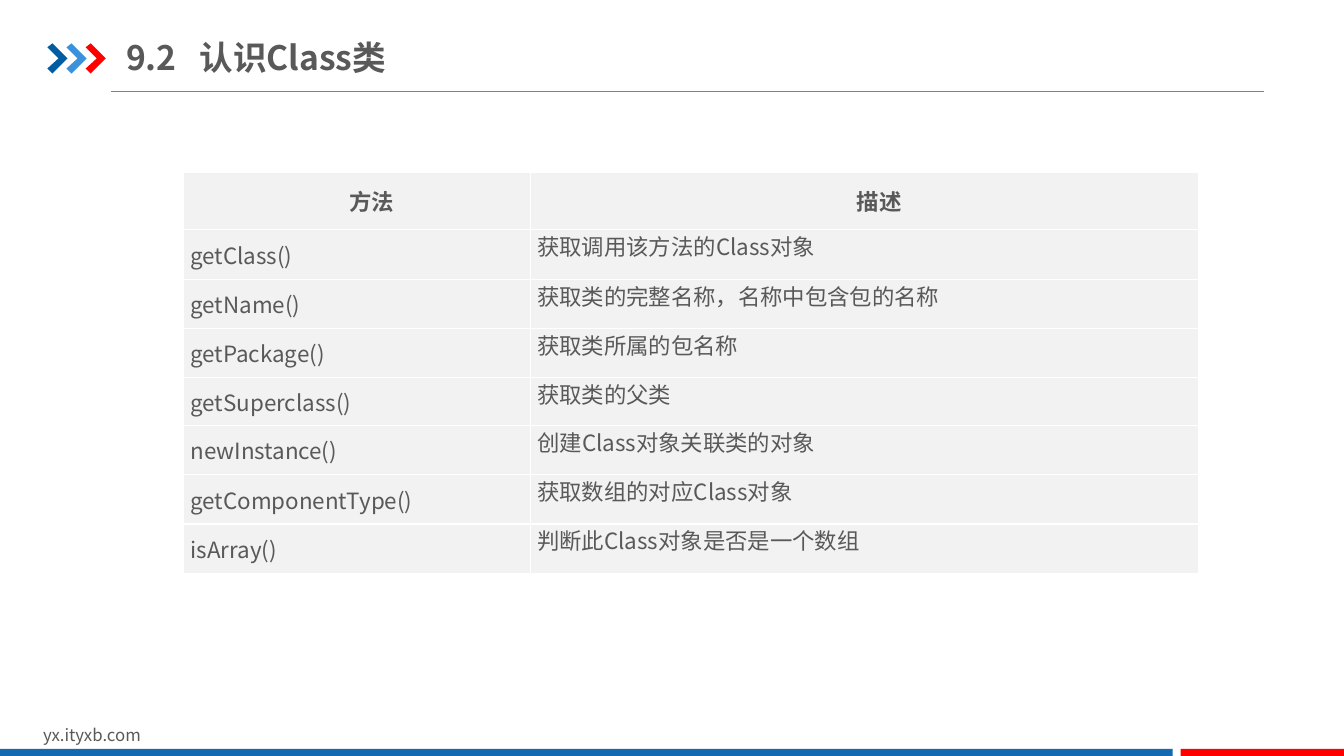
from lxml import etree
from pptx import Presentation
from pptx import util as u
from pptx.dml.color import RGBColor
from pptx.enum import shapes, text
from pptx.oxml import ns

FONT = "Noto Sans CJK SC"
GREY, RED, WHITE = "595959", "FF0000", "FFFFFF"
METHODS = [
    ("getClass()", "获取调用该方法的Class对象"),
    ("getName()", "获取类的完整名称，名称中包含包的名称"),
    ("getPackage()", "获取类所属的包名称"),
    ("getSuperclass()", "获取类的父类"),
    ("newInstance()", "创建Class对象关联类的对象"),
    ("getComponentType()", "获取数组的对应Class对象"),
    ("isArray()", "判断此Class对象是否是一个数组"),
]
COL_WIDTHS = [3.44, 6.63]
ROW_HEIGHTS = [0.57, 0.49, 0.49, 0.49, 0.47, 0.49, 0.49, 0.49]


def rgb(color):
    return RGBColor.from_string(color)


def sub(parent, tag, **attrs):
    return etree.SubElement(parent, ns.qn(tag), **attrs)


def add_run(p, words, size, bold=False):
    r = p.add_run()
    r.text = words
    r.font.size, r.font.bold, r.font.name = u.Pt(size), bold, FONT
    r.font.color.rgb = rgb(GREY)
    sub(r.font._element, "a:ea", typeface=FONT)


def paint(sp, color):
    sp.shadow.inherit = False
    sp.fill.solid()
    sp.fill.fore_color.rgb = rgb(color)
    sp.line.fill.background()


def add_title(s, number, words):
    sp = s.shapes.title
    sp.left, sp.top = u.Inches(1.25), u.Inches(0.29)
    sp.width, sp.height = u.Inches(4.99), u.Inches(0.55)
    tf = sp.text_frame
    tf.word_wrap, tf.auto_size = True, text.MSO_AUTO_SIZE.NONE
    tf.vertical_anchor = text.MSO_ANCHOR.MIDDLE
    tf.margin_left = tf.margin_right = 0
    tf.margin_top = tf.margin_bottom = u.Inches(0.07)
    p = tf.paragraphs[0]
    p.alignment = text.PP_ALIGN.LEFT
    tabs = sub(p._p.get_or_add_pPr(), "a:tabLst")
    sub(tabs, "a:tab", pos=str(u.Inches(0.73)), algn="l")
    add_run(p, f"{number}\t{words}", 24, True)


def add_rule(s, left, right, y):
    line = s.shapes.add_connector(shapes.MSO_CONNECTOR.STRAIGHT, u.Inches(left),
                                  u.Inches(y), u.Inches(right), u.Inches(y))
    line.line.color.rgb = rgb("808080")
    line.line.width = u.Pt(0.75)
    sub(line._element.spPr, "a:effectLst")


def add_chevron(s, left, color):
    outline = [(0, 0.47), (0.05, 0.43), (0.2, 0.58), (0.05, 0.73), (0, 0.68), (0.11, 0.58)]
    points = [(u.Inches(left + x), u.Inches(y)) for x, y in outline]
    builder = s.shapes.build_freeform(*points[0])
    builder.add_line_segments(points[1:], close=True)
    paint(builder.convert_to_shape(), color)


def add_bar(s, left, width, color):
    paint(s.shapes.add_shape(shapes.MSO_SHAPE.RECTANGLE, u.Inches(left), u.Inches(7.43),
                             u.Inches(width), u.Inches(0.09)), color)


def add_footer(s, words):
    box = s.shapes.add_textbox(u.Inches(0.33), u.Inches(7.14), u.Inches(3.18), u.Inches(0.3))
    box.text_frame.word_wrap = True
    add_run(box.text_frame.paragraphs[0], words, 12)


def add_borders(cell, color):
    tc_pr = cell._tc.get_or_add_tcPr()
    for i, side in enumerate("LRTB"):
        ln = etree.Element(ns.qn(f"a:ln{side}"), w=str(u.Pt(1)))
        sub(sub(ln, "a:solidFill"), "a:srgbClr", val=color)
        tc_pr.insert(i, ln)


def fill_cell(cell, words, header, middle):
    cell.fill.solid()
    cell.fill.fore_color.rgb = rgb("F2F2F2")
    add_borders(cell, WHITE)
    cell.margin_left = cell.margin_right = u.Inches(0.07)
    cell.margin_top = cell.margin_bottom = 0
    cell.vertical_anchor = text.MSO_ANCHOR.MIDDLE if middle else text.MSO_ANCHOR.TOP
    p = cell.text_frame.paragraphs[0]
    if header:
        p.alignment = text.PP_ALIGN.CENTER
        p._p.get_or_add_pPr().set("indent", str(u.Inches(0.29)))
    add_run(p, words, 16, header)


def add_method_table(s):
    rows = [("方法", "描述")] + METHODS
    table = s.shapes.add_table(len(rows), len(COL_WIDTHS), u.Inches(1.82), u.Inches(1.71),
                               u.Inches(sum(COL_WIDTHS)), u.Inches(sum(ROW_HEIGHTS))).table
    table.horz_banding = table.first_row = False
    for col, width in zip(table.columns, COL_WIDTHS):
        col.width = u.Inches(width)
    for i, (row, height) in enumerate(zip(table.rows, ROW_HEIGHTS)):
        row.height = u.Inches(height)
        for j, words in enumerate(rows[i]):
            fill_cell(table.cell(i, j), words, header=i == 0, middle=i == 0 or j == 0)


def main():
    prs = Presentation()
    prs.slide_width, prs.slide_height = u.Inches(13.33), u.Inches(7.5)
    s = prs.slides.add_slide(prs.slide_layouts[5])

    # Heading with chevrons and rule
    add_rule(s, 1.1, 12.54, 0.91)
    for i, color in enumerate(["005DA2", "3992DB", RED]):
        add_chevron(s, 0.47 + 0.19 * i, color)
    add_title(s, "9.2", "认识Class类")

    # Footer address and bars
    add_footer(s, "yx.ityxb.com")
    add_bar(s, 0, 11.63, "1369B2")
    add_bar(s, 11.71, 1.63, RED)

    # Methods of Class
    add_method_table(s)
    prs.save("out.pptx")


if __name__ == "__main__":
    main()
